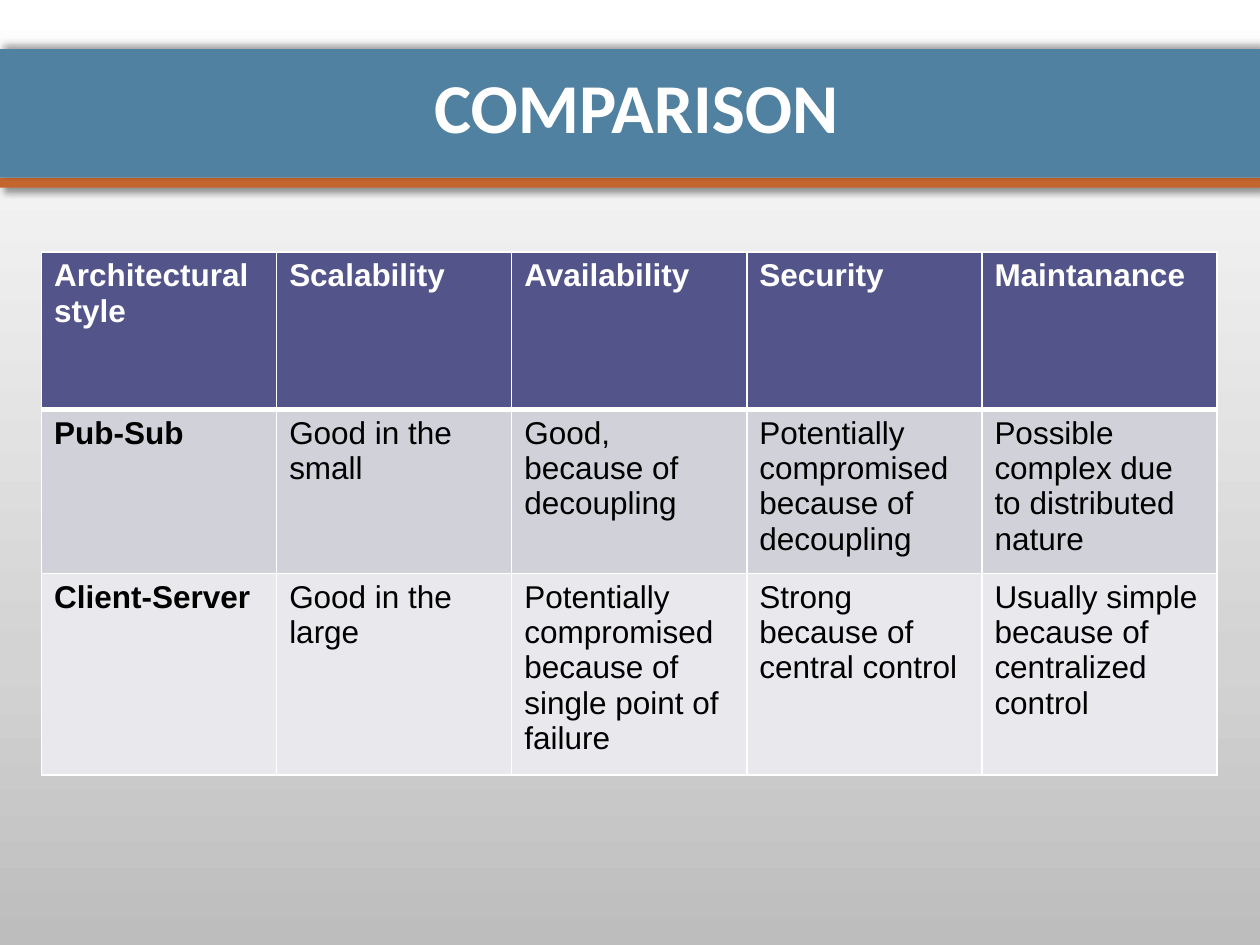
import copy

from pptx import Presentation, util as u
from pptx.dml.color import RGBColor
from pptx.enum import shapes, text
from pptx.oxml import parse_xml
from pptx.oxml.ns import nsdecls, qn

COLORS = {
    "band": "5181A0", "stripe": "C4652D", "header": "53548A",
    "pub_sub": "D1D1DA", "client_server": "E9E9ED",
    "white": "FFFFFF", "black": "000000",
}
BACKDROP = [(0, "BDBDBD"), (0.3, "D3D3D3"), (1, "FFFFFF")]

COMPARISON = [
    ["Architectural style", "Scalability", "Availability", "Security", "Maintanance"],
    ["Pub-Sub", "Good in the small", "Good, because of decoupling",
     "Potentially compromised because of decoupling",
     "Possible complex due to distributed nature"],
    ["Client-Server", "Good in the large",
     "Potentially compromised because of single point of failure",
     "Strong because of central control",
     "Usually simple because of centralized control"],
]
ROW_FILLS = ["header", "pub_sub", "client_server"]


def rgb(name):
    return RGBColor.from_string(COLORS[name])


def add_run(paragraph, words, font, size, color, bold):
    run = paragraph.add_run()
    run.text = words
    run.font.name = font
    run.font.size = u.Pt(size)
    run.font.bold = bold
    run.font.color.rgb = rgb(color)


def paint_background(slide):
    fill = slide.background.fill
    fill.gradient()
    fill.gradient_angle = 90
    stops = slide._element.find(".//" + qn("a:gsLst"))
    stops.append(copy.deepcopy(stops[0]))
    for stop, (position, color) in zip(fill.gradient_stops, BACKDROP):
        stop.position = position
        stop.color.rgb = RGBColor.from_string(color)


def add_bar(slide, left, top, width, height, color, shadow_angle):
    bar = slide.shapes.add_shape(shapes.MSO_SHAPE.RECTANGLE, u.Inches(left),
                                 u.Inches(top), u.Inches(width), u.Inches(height))
    bar.fill.solid()
    bar.fill.fore_color.rgb = rgb(color)
    bar.line.fill.background()
    bar.shadow.inherit = False
    bar._element.spPr.find(qn("a:effectLst")).append(parse_xml(
        f'<a:outerShdw {nsdecls("a")} blurRad="{u.Pt(4)}" dist="{u.Pt(3)}" '
        f'dir="{shadow_angle * 60000}" algn="tl" rotWithShape="0">'
        f'<a:srgbClr val="{COLORS["black"]}"><a:alpha val="40000"/></a:srgbClr>'
        '</a:outerShdw>'))


def add_title_band(slide, left, top, width, height):
    stripe = 0.08
    band = height - stripe
    add_bar(slide, left, top + band, width, stripe, "stripe", 45)
    add_bar(slide, left, top, width, band, "band", 315)

    # Heading
    heading = slide.shapes.add_textbox(u.Inches(left + 0.33), u.Inches(top),
                                       u.Inches(width - 0.56), u.Inches(0.9))
    frame = heading.text_frame
    frame.word_wrap = True
    frame.vertical_anchor = text.MSO_ANCHOR.MIDDLE
    frame.paragraphs[0].alignment = text.PP_ALIGN.CENTER
    add_run(frame.paragraphs[0], "COMPARISON", "Calibri", 40, "white", True)


def set_borders(cell, top, bottom):
    widths = {"lnL": 1, "lnR": 1, "lnT": top, "lnB": bottom}
    for side, points in widths.items():
        cell._tc.get_or_add_tcPr().append(parse_xml(
            f'<a:{side} {nsdecls("a")} w="{u.Pt(points)}"><a:solidFill>'
            f'<a:srgbClr val="{COLORS["white"]}"/></a:solidFill></a:{side}>'))


def add_comparison_table(slide, left, top, width, height):
    table = slide.shapes.add_table(
        len(COMPARISON), len(COMPARISON[0]), u.Inches(left), u.Inches(top),
        u.Inches(width), u.Inches(height)).table
    for r, (row, fill) in enumerate(zip(COMPARISON, ROW_FILLS)):
        for c, words in enumerate(row):
            cell = table.cell(r, c)
            # A thick rule parts the header from the body
            set_borders(cell, top=3 if r == 1 else 1, bottom=3 if r == 0 else 1)
            cell.fill.solid()
            cell.fill.fore_color.rgb = rgb(fill)
            add_run(cell.text_frame.paragraphs[0], words, "Arial", 18,
                    "white" if r == 0 else "black", r == 0 or c == 0)


def main():
    deck = Presentation()
    deck.slide_width, deck.slide_height = u.Inches(10), u.Inches(7.5)
    slide = deck.slides.add_slide(deck.slide_layouts[6])
    paint_background(slide)
    add_title_band(slide, 0, 0.39, 10, 1.1)
    add_comparison_table(slide, 0.33, 2, 9.33, 3.75)
    deck.save("out.pptx")


if __name__ == "__main__":
    main()
